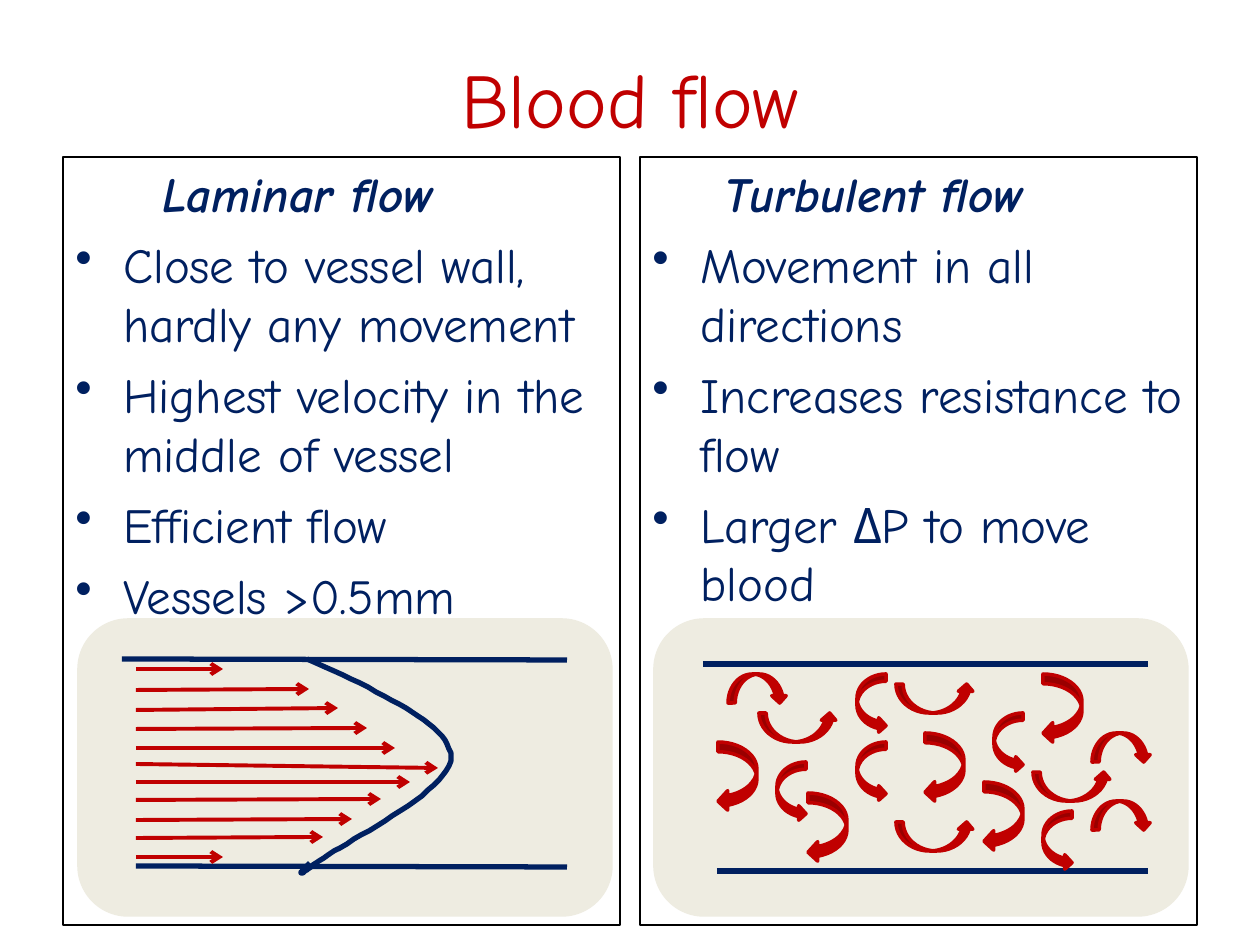
"""Build a slide comparing laminar and turbulent blood flow."""
import pptx
import pptx.dml.color
import pptx.enum.shapes
import pptx.enum.text
import pptx.oxml
import pptx.oxml.ns
import pptx.util

SCALE = 914400 / 126
RED = pptx.dml.color.RGBColor(0xC0, 0x00, 0x00)
NAVY = pptx.dml.color.RGBColor(0x00, 0x20, 0x60)
BLACK = pptx.dml.color.RGBColor(0x00, 0x00, 0x00)
CREAM = pptx.dml.color.RGBColor(0xEE, 0xEC, 0xE1)
TITLE = {"name": "Comic Neue", "size": pptx.util.Pt(44)}
BULLET = {"name": "Comic Neue", "size": pptx.util.Pt(28)}
HEADING = {**BULLET, "bold": True, "italic": True}
SHAPES = pptx.enum.shapes.MSO_SHAPE
NAMESPACE = pptx.oxml.ns.nsdecls("a")


def emu(*lengths):
    return [pptx.util.Emu(round(length * SCALE)) for length in lengths]


def write(para, words, values, colour):
    span = para.add_run()
    span.text = words
    for name, value in values.items():
        setattr(span.font, name, value)
    span.font.color.rgb = colour


deck = pptx.Presentation()
deck.slide_width, deck.slide_height = emu(1260, 945)
page = deck.slides.add_slide(deck.slide_layouts[6])

title = page.shapes.add_textbox(*emu(63, 38, 1134, 120)).text_frame
title.word_wrap = True
title.vertical_anchor = pptx.enum.text.MSO_ANCHOR.MIDDLE
title.paragraphs[0].alignment = pptx.enum.text.PP_ALIGN.CENTER
write(title.paragraphs[0], "Blood flow", TITLE, RED)

columns = [
    (63, 79, "Laminar flow", 87, [
        "Close to vessel wall, hardly any movement",
        "Highest velocity in the middle of vessel",
        "Efficient flow",
        "Vessels >0.5mm",
    ]),
    (640, 655, "Turbulent flow", 72, [
        "Movement in all directions",
        "Increases resistance to flow",
        "Larger ΔP to move blood",
    ]),
]
for left, panel_left, heading, margin, points in columns:
    box = page.shapes.add_shape(SHAPES.RECTANGLE, *emu(left, 157, 557, 768))
    box.shadow.inherit = False
    box.fill.background()
    box.line.color.rgb = BLACK
    box.line.width = pptx.util.Pt(0.75)
    frame = box.text_frame
    frame.word_wrap = True
    frame.vertical_anchor = pptx.enum.text.MSO_ANCHOR.TOP
    para = frame.paragraphs[0]
    para.alignment = pptx.enum.text.PP_ALIGN.LEFT
    para._p.get_or_add_pPr().set("marL", str(emu(margin)[0]))
    write(para, heading, HEADING, NAVY)
    for point in points:
        para = frame.add_paragraph()
        para.alignment = pptx.enum.text.PP_ALIGN.LEFT
        para.space_before = pptx.util.Pt(7)
        properties = para._p.get_or_add_pPr()
        properties.set("marL", str(emu(48)[0]))
        properties.set("indent", str(emu(-48)[0]))
        for markup in (f'<a:buClr {NAMESPACE}><a:srgbClr val="{NAVY}"/></a:buClr>',
                       f'<a:buChar {NAMESPACE} char="•"/>'):
            properties.append(pptx.oxml.parse_xml(markup))
        write(para, point, BULLET, NAVY)

    panel = page.shapes.add_shape(SHAPES.ROUNDED_RECTANGLE, *emu(panel_left, 620, 532, 295))
    panel.shadow.inherit = False
    panel.fill.solid()
    panel.fill.fore_color.rgb = CREAM
    panel.line.color.rgb = CREAM
    panel.line.width = pptx.util.Pt(2)

walls = [
    (122, 659, 567, 660), (136, 866, 567, 867),
    (703, 664, 1148, 664), (717, 871, 1148, 871),
]
flow_ends = [
    (669, 223, 669), (690, 309, 689), (710, 338, 708), (729, 367, 728),
    (748, 395, 748), (764, 438, 768), (782, 410, 782), (800, 381, 799),
    (820, 352, 819), (838, 323, 837), (857, 223, 857),
]
flows = [(136, start, tip, end) for start, tip, end in flow_ends]
for lines, colour, width, head in ((walls, NAVY, 3, None), (flows, RED, 2.25, "arrow")):
    for ends in lines:
        line = page.shapes.add_connector(pptx.enum.shapes.MSO_CONNECTOR.STRAIGHT, *emu(*ends))
        line.line.color.rgb = colour
        line.line.width = pptx.util.Pt(width)
        line._element.spPr.append(pptx.oxml.parse_xml(f"<a:effectLst {NAMESPACE}/>"))
        if head:
            line.line._get_or_add_ln().append(
                pptx.oxml.parse_xml(f'<a:tailEnd {NAMESPACE} type="{head}"/>'))

curves = [
    ((307, 659), (379, 692), (450, 723), (451, 757)),
    ((451, 757), (452, 791), (339, 845), (316, 863)),
    ((316, 863), (292, 881), (301, 872), (310, 863)),
]
STEPS = 24
profile_points = []
for curve in curves:
    for step in range(1, STEPS + 1):
        t = step / STEPS
        weights = ((1 - t) ** 3, 3 * t * (1 - t) ** 2, 3 * t * t * (1 - t), t ** 3)
        profile_points.append([sum(w * p[axis] for w, p in zip(weights, curve)) for axis in (0, 1)])
builder = page.shapes.build_freeform(*curves[0][0], scale=SCALE)
builder.add_line_segments(profile_points, close=False)
profile = builder.convert_to_shape()
profile.shadow.inherit = False
profile.fill.background()
profile.line.color.rgb = NAVY
profile.line.width = pptx.util.Pt(3)

swirls = [
    (SHAPES.CURVED_UP_ARROW, (78, 29), [(759, 713), (896, 684), (896, 822), (1033, 772)]),
    (SHAPES.CURVED_LEFT_ARROW, (39, 69),
     [(984, 782), (718, 742), (925, 733), (808, 793), (1043, 674)]),
    (SHAPES.CURVED_RIGHT_ARROW, (29, 59),
     [(857, 674), (994, 713), (857, 742), (1043, 811), (777, 762)]),
    (SHAPES.CURVED_DOWN_ARROW, (59, 29), [(1092, 801), (728, 674), (1092, 733)]),
]
for kind, size, places in swirls:
    for place in places:
        swirl = page.shapes.add_shape(kind, *emu(*place, *size))
        swirl.shadow.inherit = False
        swirl.fill.solid()
        swirl.fill.fore_color.rgb = RED
        swirl.line.color.rgb = RED
        swirl.line.width = pptx.util.Pt(2)

deck.save("out.pptx")
